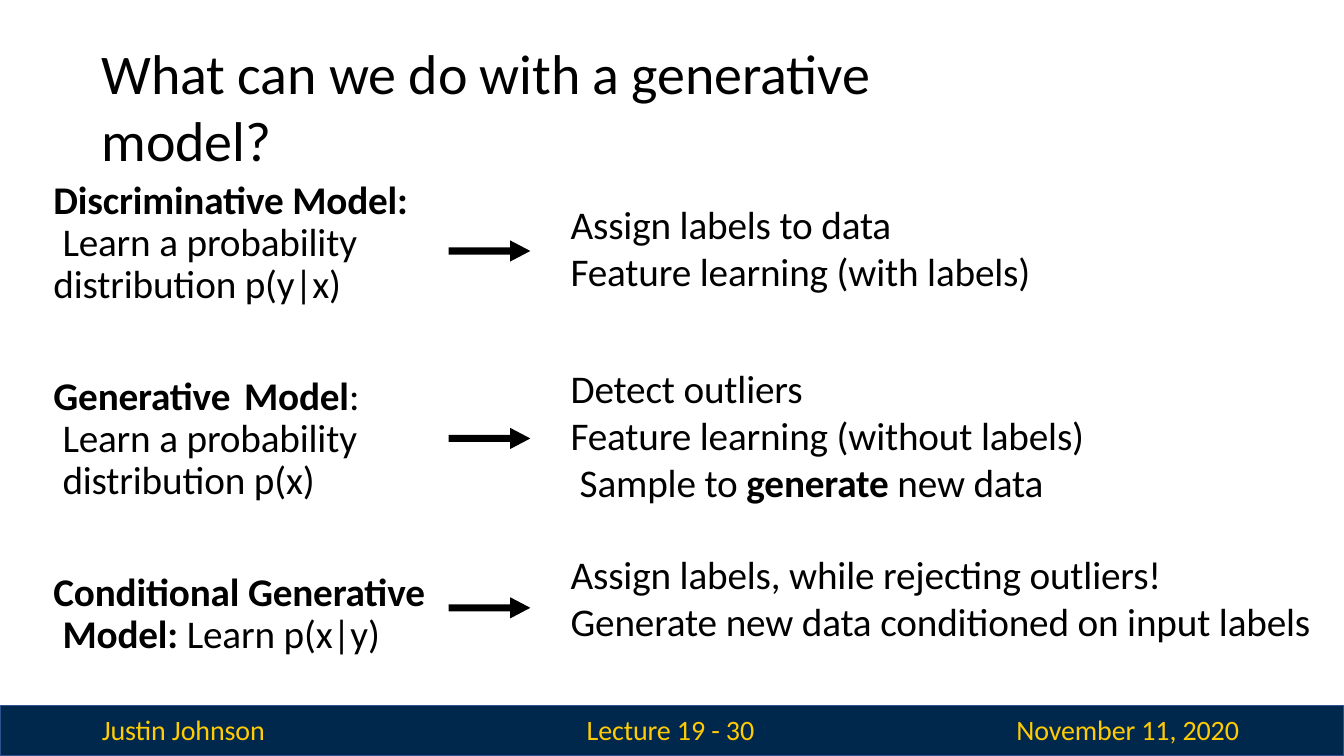
from pptx import Presentation
from pptx.dml.color import RGBColor
from pptx.enum.shapes import MSO_SHAPE
from pptx.enum.text import MSO_ANCHOR, MSO_AUTO_SIZE, PP_ALIGN
from pptx.util import Inches, Pt

COLORS = {"text": "000000", "bar": "00274C", "bar_line": "2F528F", "footer": "FFCB05"}
FONT = "Calibri"
BODY_SIZE = 28
INDENT = 0.09
TIGHT = -10
WIDE = 340

MODELS = [
    {
        "definition": [
            (0, [("Discriminative Model:", True)]),
            (INDENT, [("Learn a probability", False)]),
            (0, [("distribution p(y|x)", False)]),
        ],
        "uses": [
            (0, [("Assign labels to data", False)]),
            (0, [("Feature learning (with labels)", False)]),
        ],
        "arrow_y": 2.49,
        "uses_top": 1.99,
    },
    {
        "definition": [
            (0, [("Generative", True), (" ", True, WIDE), ("Model", True), (":", False)]),
            (INDENT, [("Learn a probability", False)]),
            (INDENT, [("distribution p(x)", False)]),
        ],
        "uses": [
            (0, [("Detect outliers", False)]),
            (0, [("Feature learning (without labels)", False)]),
            (INDENT, [("Sample to ", False), ("generate", True), (" new data", False)]),
        ],
        "arrow_y": 4.35,
        "uses_top": 3.61,
    },
    {
        "definition": [
            (0, [("Conditional Generative", True)]),
            (INDENT, [("Model: ", True), ("Learn p(x|y)", False)]),
        ],
        "uses": [
            (0, [("Assign labels, while rejecting outliers!", False)]),
            (0, [("Generate new data conditioned on input labels", False)]),
        ],
        "arrow_y": 6.03,
        "uses_top": 5.46,
    },
]


def write_text(shape, lines, size=BODY_SIZE, color="text", line_spacing=None, top_inset=0):
    """Fill a shape with lines, each an indent and runs of text, bold and optional spacing."""
    frame = shape.text_frame
    frame.word_wrap = True
    frame.auto_size = MSO_AUTO_SIZE.NONE
    frame.vertical_anchor = MSO_ANCHOR.TOP
    frame.margin_left = Inches(0.01)
    frame.margin_right = frame.margin_bottom = 0
    frame.margin_top = Inches(top_inset)
    for index, (indent, runs) in enumerate(lines):
        paragraph = frame.paragraphs[0] if index == 0 else frame.add_paragraph()
        paragraph.alignment = PP_ALIGN.LEFT
        paragraph._p.get_or_add_pPr().set("marL", str(Inches(indent)))
        if line_spacing:
            paragraph.line_spacing = Pt(line_spacing)
        for text, bold, *spacing in runs:
            run = paragraph.add_run()
            run.text = text
            run.font.name = FONT
            run.font.size = Pt(size)
            run.font.bold = bold
            run.font.color.rgb = RGBColor.from_string(COLORS[color])
            run._r.get_or_add_rPr().set("spc", str(spacing[0] if spacing else TIGHT))


def add_text(slide, left, top, width, height, lines, **text_format):
    """Add a text box holding the given lines."""
    box = slide.shapes.add_textbox(Inches(left), Inches(top), Inches(width), Inches(height))
    write_text(box, lines, **text_format)


def add_title(slide, left, top, width, height):
    """Place and fill the title placeholder."""
    title = slide.shapes.title
    title.left, title.top = Inches(left), Inches(top)
    title.width, title.height = Inches(width), Inches(height)
    heading = "What can we do with a generative model?"
    write_text(title, [(0, [(heading, False)])], size=40, top_inset=0.02)


def add_arrow(slide, left, middle, width):
    """Draw a solid arrow outline pointing right."""
    half_shaft, half_head, head_length = 0.035, 0.105, 0.2
    neck, tip = left + width - head_length, left + width
    outline = [
        (neck, middle - half_shaft),
        (neck, middle - half_head),
        (tip, middle),
        (neck, middle + half_head),
        (neck, middle + half_shaft),
        (left, middle + half_shaft),
    ]
    builder = slide.shapes.build_freeform(
        Inches(left), Inches(middle - half_shaft), scale=1.0
    )
    builder.add_line_segments([(Inches(x), Inches(y)) for x, y in outline], close=True)
    arrow = builder.convert_to_shape()
    arrow.shadow.inherit = False
    arrow.fill.solid()
    arrow.fill.fore_color.rgb = RGBColor.from_string(COLORS["text"])
    arrow.line.fill.background()


def add_model_row(slide, model, left, top):
    """Place a model's definition, its arrow and its uses."""
    add_text(slide, left, top, 3.75, 1.25, model["definition"], line_spacing=30)
    add_arrow(slide, left + 3.93, model["arrow_y"], 0.81)
    uses_height = 0.48 * len(model["uses"])
    add_text(slide, left + 5.13, model["uses_top"], 7.55, uses_height, model["uses"])


def add_footer(slide, left, top, width, height):
    """Draw the footer bar and its three labels."""
    bar = slide.shapes.add_shape(
        MSO_SHAPE.RECTANGLE, Inches(left), Inches(top), Inches(width), Inches(height)
    )
    bar.shadow.inherit = False
    bar.fill.solid()
    bar.fill.fore_color.rgb = RGBColor.from_string(COLORS["bar"])
    bar.line.color.rgb = RGBColor.from_string(COLORS["bar_line"])
    bar.line.width = Pt(1)
    labels = [
        (1, 1.7, "Justin Johnson"),
        (5.81, 1.8, "Lecture 19 - 30"),
        (10.07, 2.35, "November 11, 2020"),
    ]
    for offset, label_width, text in labels:
        add_text(slide, left + offset, top + 0.07, label_width, 0.37,
                 [(0, [(text, False)])], size=20, color="footer")


def main():
    """Build the slide and save it."""
    presentation = Presentation()
    presentation.slide_width = Inches(13.33)
    presentation.slide_height = Inches(7.5)
    slide = presentation.slides.add_slide(presentation.slide_layouts[5])
    add_footer(slide, 0, 7, 13.33, 0.5)
    add_title(slide, 1, 0.36, 9.2, 1.4)
    for index, model in enumerate(MODELS):
        add_model_row(slide, model, 0.52, 1.79 + 1.945 * index)
    presentation.save("out.pptx")


if __name__ == "__main__":
    main()
